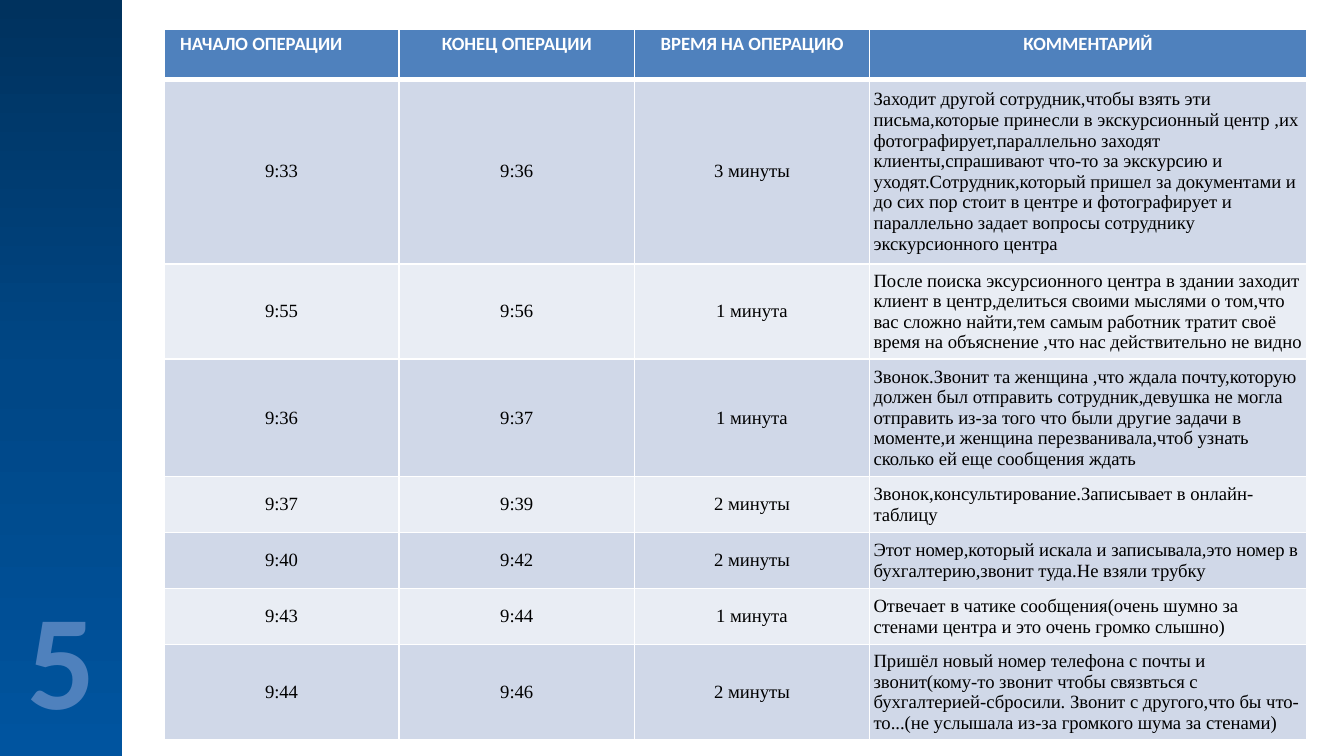
from copy import deepcopy

from lxml.etree import SubElement
from pptx import Presentation
from pptx.dml.color import RGBColor
from pptx.enum.shapes import MSO_SHAPE
from pptx.enum.text import MSO_ANCHOR, PP_ALIGN
from pptx.oxml.ns import qn
from pptx.util import Inches, Pt

WIDE = 10
HIGH = WIDE * 9 / 16
INK = {
    "top": "00325E", "mid": "004786", "low": "00549F",
    "head": "4F81BD", "odd": "D0D8E8", "even": "E9EDF4",
    "white": "FFFFFF", "black": "000000",
}
COLS = [1.75, 1.75, 1.75, 3.25]
PAIR = 5 / 12  # height of a row with a two-line comment
TALL = [0.37, 1.36, 0.7, 0.87, PAIR, PAIR, PAIR, 0.7]
HEAD = ["НАЧАЛО ОПЕРАЦИИ", "КОНЕЦ ОПЕРАЦИИ", "ВРЕМЯ НА ОПЕРАЦИЮ", "КОММЕНТАРИЙ"]
ROWS = [
    ("9:33", "9:36", "3 минуты",
     "Заходит другой сотрудник,чтобы взять эти письма,которые принесли в "
     "экскурсионный центр ,их фотографирует,параллельно заходят "
     "клиенты,спрашивают что-то за экскурсию и уходят.Сотрудник,который пришел "
     "за документами и до сих пор стоит в центре и фотографирует и параллельно "
     "задает вопросы сотруднику экскурсионного центра"),
    ("9:55", "9:56", "1 минута",
     "После поиска эксурсионного центра в здании заходит клиент в "
     "центр,делиться своими мыслями о том,что вас сложно найти,тем самым "
     "работник тратит своё время на объяснение ,что нас действительно не видно"),
    ("9:36", "9:37", "1 минута",
     "Звонок.Звонит та женщина ,что ждала почту,которую должен был отправить "
     "сотрудник,девушка не могла отправить из-за того что были другие задачи в "
     "моменте,и женщина перезванивала,чтоб узнать сколько ей еще сообщения ждать"),
    ("9:37", "9:39", "2 минуты",
     "Звонок,консультирование.Записывает в онлайн-таблицу"),
    ("9:40", "9:42", "2 минуты",
     "Этот номер,который искала и записывала,это номер в бухгалтерию,звонит "
     "туда.Не взяли трубку"),
    ("9:43", "9:44", "1 минута",
     "Отвечает в чатике сообщения(очень шумно за стенами центра и это очень "
     "громко слышно)"),
    ("9:44", "9:46", "2 минуты",
     "Пришёл новый номер телефона с почты и звонит(кому-то звонит чтобы "
     "связвться с бухгалтерией-сбросили. Звонит с другого,что бы что-то...(не "
     "услышала из-за громкого шума за стенами)"),
]


def color(name):
    return RGBColor.from_string(INK[name])


def style(para, face, size, ink, bold=False, align=PP_ALIGN.CENTER):
    para.alignment = align
    font = para.font
    font.name, font.size, font.bold = face, Pt(size), bold
    font.color.rgb = color(ink)


def add_bar(slide):
    bar = slide.shapes.add_shape(
        MSO_SHAPE.RECTANGLE, 0, 0, Inches(0.91), Inches(HIGH))
    bar.shadow.inherit = False
    bar.line.fill.background()
    bar.fill.gradient()
    bar.fill.gradient_angle = 270
    first = next(bar._element.spPr.iter(qn("a:gs")))
    first.addnext(deepcopy(first))
    for stop, at, name in zip(bar.fill.gradient_stops, (0, 0.5, 1),
                              ("top", "mid", "low")):
        stop.position = at
        stop.color.rgb = color(name)


def add_number(slide, text):
    box = slide.shapes.add_textbox(
        Inches(0.1), Inches(4.23), Inches(0.71), Inches(1.31))
    frame = box.text_frame
    frame.word_wrap = False
    frame.text = text
    style(frame.paragraphs[0], "Calibri", 72, "head", True)


def edge(cell, low):
    """Draw white cell borders, the bottom one low points wide."""
    props = cell._tc.get_or_add_tcPr()
    for side, width in zip("LRTB", (1, 1, 1, low)):
        line = SubElement(props, qn(f"a:ln{side}"), w=str(Pt(width)))
        fill = SubElement(line, qn("a:solidFill"))
        SubElement(fill, qn("a:srgbClr"), val=INK["white"])


def paint(cell, text, fill, low=1):
    edge(cell, low)
    cell.fill.solid()
    cell.fill.fore_color.rgb = color(fill)
    cell.text = text
    return cell.text_frame.paragraphs[0]


def fill_head(table):
    for col, text in enumerate(HEAD):
        para = paint(table.cell(0, col), text, "head", 3)
        align = PP_ALIGN.CENTER if col else PP_ALIGN.LEFT
        style(para, "Calibri", 10, "white", True, align)
        para.line_spacing = 0.8
    table.cell(0, 0).margin_left = Inches(0.12)


def fill_body(table):
    for row, texts in enumerate(ROWS, 1):
        for col, text in enumerate(texts):
            cell = table.cell(row, col)
            para = paint(cell, text, "odd" if row % 2 else "even")
            cell.vertical_anchor = MSO_ANCHOR.MIDDLE
            cell.margin_left = cell.margin_right = Inches(0.03)
            cell.margin_top = cell.margin_bottom = Inches(0.02)
            align = PP_ALIGN.LEFT if col == len(COLS) - 1 else PP_ALIGN.CENTER
            style(para, "Times New Roman", 10, "black", align=align)


def add_log(slide):
    table = slide.shapes.add_table(
        len(TALL), len(COLS), Inches(1.22), Inches(0.22),
        Inches(sum(COLS)), Inches(sum(TALL))).table
    for col, width in zip(table.columns, COLS):
        col.width = Inches(width)
    for row, height in zip(table.rows, TALL):
        row.height = Inches(height)
    fill_head(table)
    fill_body(table)


def main():
    deck = Presentation()
    deck.slide_width, deck.slide_height = Inches(WIDE), Inches(HIGH)
    slide = deck.slides.add_slide(deck.slide_layouts[6])
    add_bar(slide)
    add_number(slide, "5")
    add_log(slide)
    deck.save("out.pptx")


if __name__ == "__main__":
    main()
